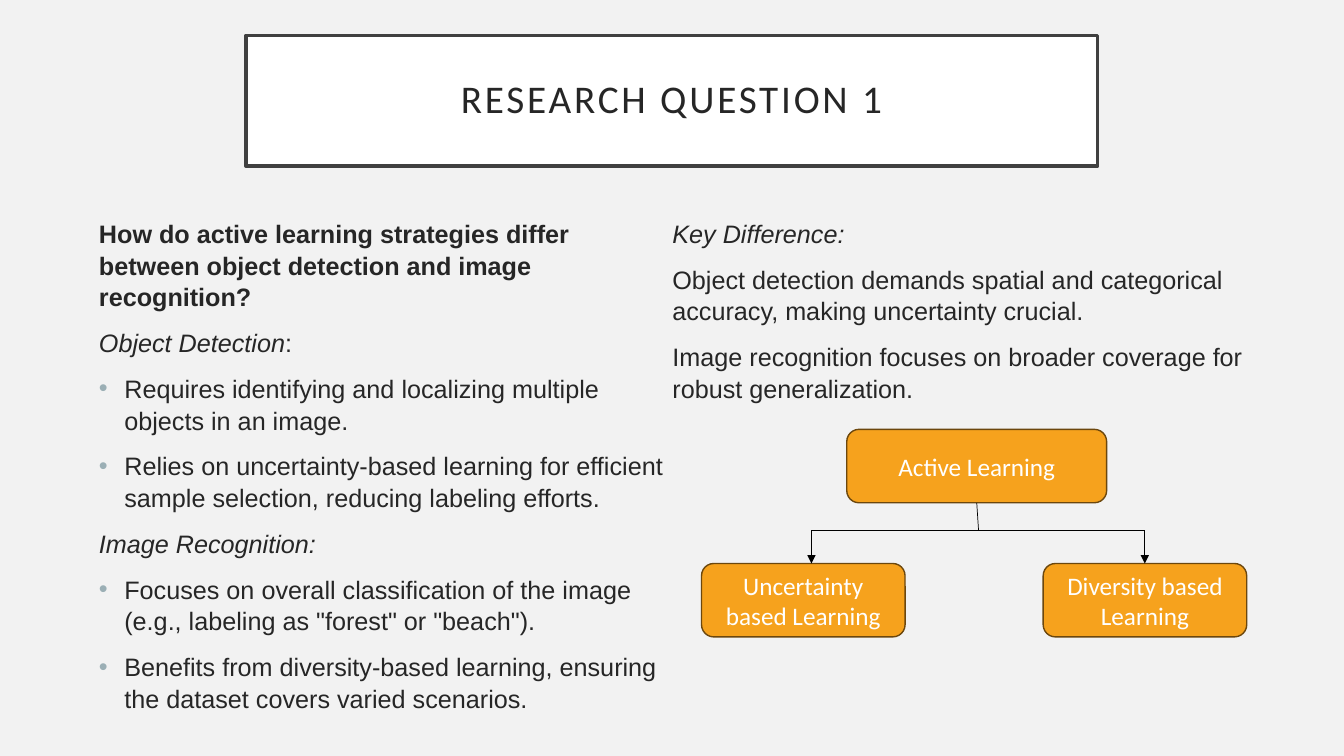
from dataclasses import dataclass

from lxml.etree import SubElement
from pptx import Presentation
from pptx.dml.color import RGBColor
from pptx.enum.shapes import MSO_CONNECTOR, MSO_SHAPE
from pptx.enum.text import MSO_ANCHOR, MSO_AUTO_SIZE, PP_ALIGN
from pptx.oxml.ns import qn
from pptx.util import Cm, Pt


@dataclass(frozen=True)
class Theme:
    background: str = "F2F2F2"
    paper: str = "FFFFFF"
    ink: str = "262626"
    frame: str = "404040"
    bullet: str = "9BAFB5"
    accent: str = "F6A21D"
    accent_edge: str = "6C470D"
    arrow: str = "000000"
    heading_font: str = "Calibri"
    body_font: str = "Arial"
    title_size: int = 28
    text_size: int = 18


theme = Theme()

TITLE = "RESEARCH QUESTION 1"
BODY = [
    ("bold", "How do active learning strategies differ between object detection and image recognition?"),
    ("italic", "Object Detection", ":"),
    ("bullet", "Requires identifying and localizing multiple objects in an image."),
    ("bullet", "Relies on uncertainty-based learning for efficient sample selection, reducing labeling efforts."),
    ("italic", "Image Recognition:"),
    ("bullet", 'Focuses on overall classification of the image (e.g., labeling as "forest" or "beach").'),
    ("bullet", "Benefits from diversity-based learning, ensuring the dataset covers varied scenarios."),
    ("italic", "Key Difference:"),
    ("plain", "Object detection demands spatial and categorical accuracy, making uncertainty crucial."),
    ("plain", "Image recognition focuses on broader coverage for robust generalization."),
]
ROOT = ("Active Learning", 21.34, 10.82, 6.55)
BRANCHES = [
    ("Uncertainty based Learning", 17.68, 20.45),
    ("Diversity based Learning", 26.29, 28.85),
]
BRANCH_TOP, BRANCH_WIDTH, NODE_HEIGHT = 14.2, 5.13, 1.85
BAR_Y = 13.36
STEM_FOOT = 24.66


def color(value):
    return RGBColor.from_string(value)


def place(shape, left, top, width, height):
    shape.left, shape.top, shape.width, shape.height = map(Cm, (left, top, width, height))


def paint(shape, fill, edge, weight):
    shape.fill.solid()
    shape.fill.fore_color.rgb = color(fill)
    shape.line.color.rgb = color(edge)
    shape.line.width = Pt(weight)


def write(para, text, *, font, ink, size=theme.text_size, bold=False, italic=False,
          align=PP_ALIGN.LEFT, leading=1.0, before=0, tracking=0):
    para.alignment = align
    para.line_spacing = leading
    para.space_before = Pt(before)
    span = para.add_run()
    span.text = text
    span.font.name = font
    span.font.size = Pt(size)
    span.font.bold = bold
    span.font.italic = italic
    span.font.color.rgb = color(ink)
    if tracking:
        span.font._element.set("spc", str(tracking * 100))


def set_bullet(para, bulleted):
    properties = para._p.get_or_add_pPr()
    indent = Cm(0.64) if bulleted else 0
    properties.set("marL", str(indent))
    properties.set("indent", str(-indent))
    if bulleted:
        tint = SubElement(properties, qn("a:buClr"))
        SubElement(tint, qn("a:srgbClr"), val=theme.bullet)
        SubElement(properties, qn("a:buFont"), typeface=theme.body_font)
        SubElement(properties, qn("a:buChar"), char="•")
    else:
        SubElement(properties, qn("a:buNone"))


def add_title(page):
    box = page.shapes.title
    place(box, 6.2, 0.89, 21.46, 3.3)
    paint(box, theme.paper, theme.frame, 2.5)
    frame = box.text_frame
    frame.auto_size = MSO_AUTO_SIZE.NONE
    frame.vertical_anchor = MSO_ANCHOR.MIDDLE
    frame.margin_left = frame.margin_right = frame.margin_top = frame.margin_bottom = Cm(0.5)
    write(frame.paragraphs[0], TITLE, font=theme.heading_font, ink=theme.ink,
          size=theme.title_size, align=PP_ALIGN.CENTER, leading=0.9, tracking=2)


def add_body(page):
    box = page.placeholders[1]
    place(box, 2.24, 5.33, 29.41, 12.85)
    frame = box.text_frame
    frame.auto_size = MSO_AUTO_SIZE.NONE
    frame._txBody.bodyPr.set("numCol", "2")
    for number, (style, *texts) in enumerate(BODY):
        para = frame.add_paragraph() if number else frame.paragraphs[0]
        for position, text in enumerate(texts):
            write(para, text, font=theme.body_font, ink=theme.ink, bold=style == "bold",
                  italic=style == "italic" and position == 0, leading=1.05, before=10)
        set_bullet(para, style == "bullet")


def add_node(page, text, left, top, width):
    box = page.shapes.add_shape(MSO_SHAPE.ROUNDED_RECTANGLE, 0, 0, 0, 0)
    place(box, left, top, width, NODE_HEIGHT)
    paint(box, theme.accent, theme.accent_edge, 1)
    box.shadow.inherit = False
    frame = box.text_frame
    frame.word_wrap = True
    frame.vertical_anchor = MSO_ANCHOR.MIDDLE
    write(frame.paragraphs[0], text, font=theme.heading_font, ink=theme.paper,
          align=PP_ALIGN.CENTER)


def add_line(page, start, end, arrow=False):
    line = page.shapes.add_connector(MSO_CONNECTOR.STRAIGHT, *map(Cm, start + end))
    line.line.color.rgb = color(theme.arrow)
    line.line.width = Pt(0.5)
    if arrow:
        SubElement(line.line._get_or_add_ln(), qn("a:tailEnd"), type="triangle")
    SubElement(line._element.spPr, qn("a:effectLst"))


def add_tree(page):
    add_node(page, *ROOT)
    for text, left, drop in BRANCHES:
        add_node(page, text, left, BRANCH_TOP, BRANCH_WIDTH)
        add_line(page, (drop, BAR_Y), (drop, BRANCH_TOP), arrow=True)
    add_line(page, (BRANCHES[0][2], BAR_Y), (BRANCHES[-1][2], BAR_Y))
    label, left, top, width = ROOT
    add_line(page, (left + width / 2, top + NODE_HEIGHT), (STEM_FOOT, BAR_Y))


def main():
    deck = Presentation()
    deck.slide_width, deck.slide_height = Cm(33.87), Cm(19.05)
    page = deck.slides.add_slide(deck.slide_layouts[1])
    page.background.fill.solid()
    page.background.fill.fore_color.rgb = color(theme.background)
    add_title(page)
    add_body(page)
    add_tree(page)
    deck.save("out.pptx")


if __name__ == "__main__":
    main()
